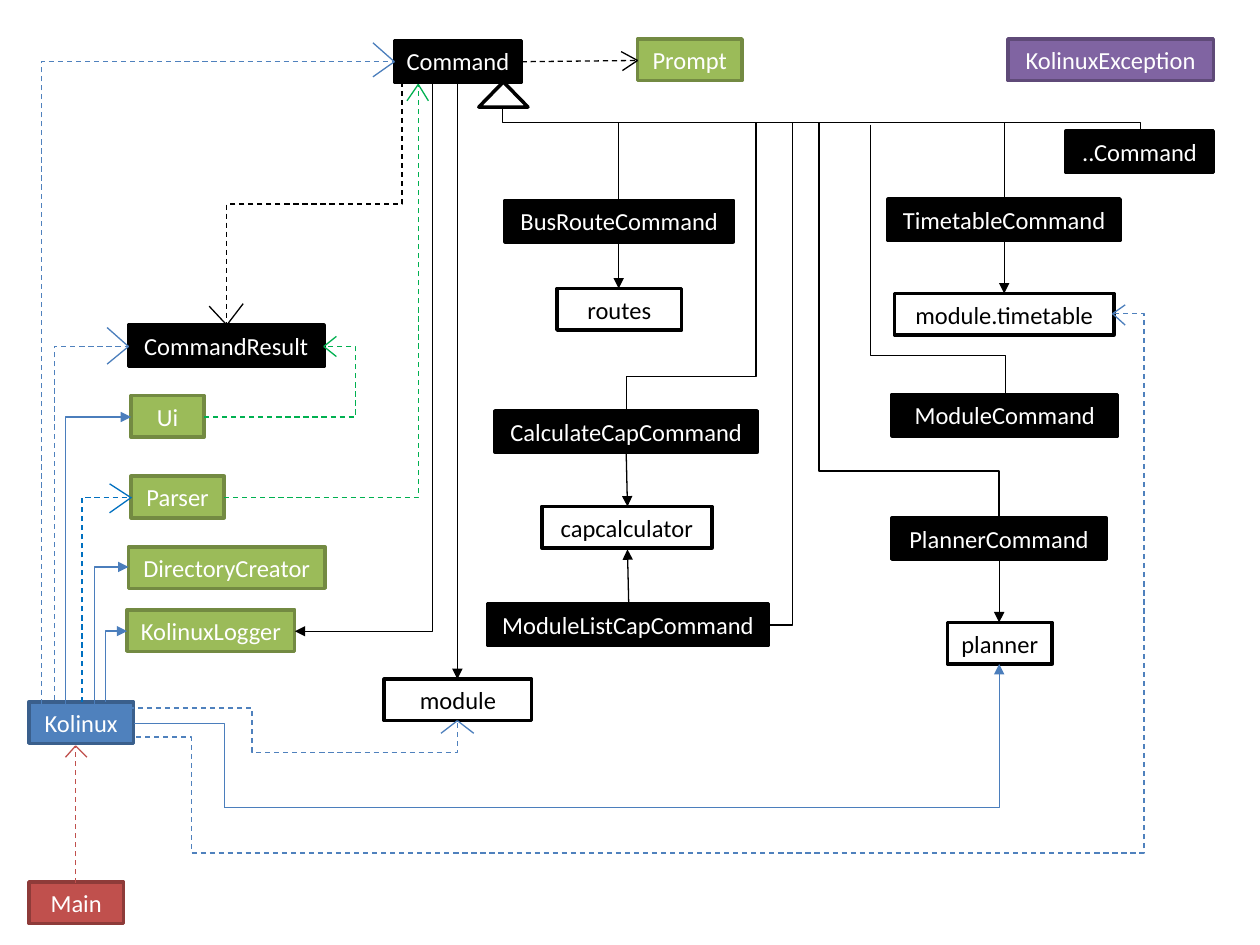
from lxml.etree import SubElement
from pptx import Presentation
from pptx.dml.color import RGBColor
from pptx.enum.dml import MSO_LINE
from pptx.enum.shapes import MSO_CONNECTOR as CONNECTOR, MSO_SHAPE as SHAPE
from pptx.enum.text import MSO_ANCHOR, PP_ALIGN
from pptx.oxml.ns import qn
from pptx.util import Inches, Pt

COLORS = {
    "black": "000000", "white": "FFFFFF", "red": "C0504D", "dark red": "8E3B39",
    "blue": "4F81BD", "dark blue": "3A5F8C", "arrow blue": "4B7EBC", "bright blue": "0070C0",
    "green": "9BBB59", "dark green": "738A42", "arrow green": "00B050",
    "purple": "8064A2", "dark purple": "5F4A78",
}
STYLES = {
    "main": ("red", "dark red", "white"),
    "app": ("blue", "dark blue", "white"),
    "helper": ("green", "dark green", "white"),
    "command": ("black", "black", "white"),
    "package": ("white", "black", "black"),
    "exception": ("purple", "dark purple", "white"),
}
BOX_HEIGHT = 0.33
BOXES = {
    "main": [("Main", 0.23, 7, 0.75)],
    "app": [("Kolinux", 0.23, 5.57, 0.83)],
    "helper": [
        ("Ui", 1.04, 3.14, 0.58), ("Parser", 1.04, 3.78, 0.74),
        ("DirectoryCreator", 1.02, 4.34, 1.56), ("KolinuxLogger", 1.01, 4.84, 1.33),
        ("Prompt", 5.06, 0.31, 0.83),
    ],
    "command": [
        ("Command", 3.13, 0.32, 1.01), ("CommandResult", 1.02, 2.58, 1.55),
        ("..Command", 8.46, 1.04, 1.17), ("BusRouteCommand", 4.01, 1.59, 1.81),
        ("CalculateCapCommand", 3.93, 3.26, 2.08), ("ModuleCommand", 7.08, 3.13, 1.79),
        ("PlannerCommand", 7.08, 4.11, 1.7), ("ModuleListCapCommand", 3.87, 4.79, 2.23),
        ("TimetableCommand", 7.05, 1.58, 1.84),
    ],
    "package": [
        ("planner", 7.52, 4.94, 0.83), ("module.timetable", 7.1, 2.33, 1.74),
        ("module", 3.05, 5.39, 1.17), ("capcalculator", 4.3, 4.02, 1.35),
        ("routes", 4.42, 2.29, 0.99),
    ],
    "exception": [("KolinuxException", 8, 0.31, 1.63)],
}
INHERITANCE_ROUTES = [
    [(3.99, 0.85), (3.99, 0.97), (9.05, 0.97), (9.05, 1.04)],
    [(4.91, 0.97), (4.91, 1.59)],
    [(6, 0.98), (6, 2.99), (4.97, 2.99), (4.97, 3.26)],
    [(6.29, 0.98), (6.29, 4.96), (6.1, 4.96)],
    [(6.5, 0.97), (6.5, 3.74), (7.93, 3.74), (7.93, 4.11)],
    [(6.91, 0.99), (6.91, 2.82), (7.98, 2.82), (7.98, 3.13)],
    [(7.97, 0.97), (7.97, 1.58)],
]
USE_ROUTES = [
    [(3.43, 0.64), (3.43, 5.01), (2.34, 5.01)],
    [(3.63, 0.65), (3.63, 5.39)],
    [(4.91, 1.92), (4.91, 2.29)],
    [(4.97, 3.59), (4.98, 4.02)],
    [(4.99, 4.79), (4.98, 4.36)],
    [(7.97, 1.91), (7.97, 2.33)],
    [(7.93, 4.45), (7.93, 4.94)],
]
APP_ROUTES = [
    [(0.52, 5.59), (0.52, 3.31), (1.04, 3.31)],
    [(0.75, 5.59), (0.75, 4.5), (1.02, 4.5)],
    [(0.84, 5.57), (0.84, 5.01), (1.01, 5.01)],
    [(1.78, 6.41), (7.93, 6.41), (7.93, 5.27)],
]
APP_TO_PLANNER = [(1.06, 5.74), (1.78, 5.74), (1.78, 6.41)]
APP_TO_TIMETABLE = [(1.08, 5.85), (1.52, 5.85), (1.52, 6.77)]
DEPENDENCIES = [
    ("red", "red", [(0.6, 7.01), (0.6, 5.92)], [(0.52, 6.01), (0.69, 6.01)]),
    ("bright blue", "bright blue", [(0.65, 5.57), (0.65, 3.95), (1.04, 3.95)],
     [(0.87, 3.84), (0.87, 4.07)]),
    ("blue", "arrow blue", [(0.33, 5.59), (0.33, 0.49), (3.13, 0.49)],
     [(2.96, 0.34), (2.96, 0.61)]),
    ("blue", "arrow blue", [(0.43, 5.56), (0.43, 2.75), (1.02, 2.75)],
     [(0.85, 2.6), (0.85, 2.89)]),
    ("blue", "arrow blue", [(0.95, 5.62), (2, 5.62), (2, 5.97), (3.63, 5.97), (3.63, 5.72)],
     [(3.5, 5.82), (3.76, 5.82)]),
    ("blue", "arrow blue", [(1.52, 6.77), (9.08, 6.77), (9.08, 2.49), (8.83, 2.49)],
     [(8.93, 2.42), (8.93, 2.58)]),
    ("arrow green", "arrow green", [(1.62, 3.31), (2.82, 3.31), (2.82, 2.75), (2.57, 2.75)],
     [(2.67, 2.67), (2.67, 2.83)]),
    ("arrow green", "arrow green", [(1.78, 3.95), (3.32, 3.95), (3.32, 0.67)],
     [(3.23, 0.8), (3.4, 0.8)]),
    ("black", "black", [(4.14, 0.49), (5.06, 0.48)], [(4.93, 0.41), (4.94, 0.56)]),
    ("black", "black", [(3.19, 0.65), (3.19, 1.62), (1.8, 1.62), (1.8, 2.58)],
     [(1.66, 2.43), (1.93, 2.41)]),
]


def color(name):
    return RGBColor.from_string(COLORS[name])


def add_block(slide, kind, left, top, width, height, fill, outline):
    shape = slide.shapes.add_shape(kind, *map(Inches, (left, top, width, height)))
    shape.shadow.inherit = False
    shape.fill.solid()
    shape.fill.fore_color.rgb = color(fill)
    shape.line.color.rgb = color(outline)
    shape.line.width = Pt(2)
    return shape


def add_box(slide, style, text, left, top, width):
    fill, outline, text_color = STYLES[style]
    shape = add_block(slide, SHAPE.RECTANGLE, left, top, width, BOX_HEIGHT, fill, outline)
    frame = shape.text_frame
    frame.word_wrap = False
    frame.vertical_anchor = MSO_ANCHOR.MIDDLE
    paragraph = frame.paragraphs[0]
    paragraph.text = text
    paragraph.alignment = PP_ALIGN.CENTER
    paragraph.font.name = "Calibri"
    paragraph.font.size = Pt(14)
    paragraph.font.color.rgb = color(text_color)


def add_route(slide, points, line_color, dashed=False, arrow=False):
    (x1, y1), (x2, y2) = points[0], points[-1]
    bends = len(points) - 2
    turned = bends > 0 and points[0][0] == points[1][0]
    middle_x, middle_y = (x1 + x2) / 2, (y1 + y2) / 2
    run, rise = (y2 - y1, x1 - x2) if turned else (x2 - x1, y2 - y1)
    ends = (middle_x - run / 2, middle_y - rise / 2, middle_x + run / 2, middle_y + rise / 2)
    kind = CONNECTOR.ELBOW if bends else CONNECTOR.STRAIGHT
    connector = slide.shapes.add_connector(kind, *map(Inches, ends))
    properties = connector._element.spPr
    if bends:
        connector.rotation = 90 if turned else 0
        geometry = properties.find(qn("a:prstGeom"))
        geometry.set("prst", f"bentConnector{bends + 1}")
        guides = geometry.find(qn("a:avLst"))
        if guides is None:
            guides = SubElement(geometry, qn("a:avLst"))
        for number in range(1, bends):
            axis = (number + turned + 1) % 2
            start, end = points[0][axis], points[-1][axis]
            share = (points[number + (number > 1)][axis] - start) / (end - start)
            SubElement(guides, qn("a:gd"), name=f"adj{number}", fmla=f"val {round(share * 100000)}")
    connector.line.color.rgb = color(line_color)
    connector.line.width = Pt(0.75)
    if dashed:
        connector.line.dash_style = MSO_LINE.DASH
    if arrow:
        SubElement(properties.find(qn("a:ln")), qn("a:tailEnd"), type="triangle")
    SubElement(properties, qn("a:effectLst"))


presentation = Presentation()
presentation.slide_width, presentation.slide_height = Inches(10), Inches(7.5)
slide = presentation.slides.add_slide(presentation.slide_layouts[6])

for style, boxes in BOXES.items():
    for box in boxes:
        add_box(slide, style, *box)
add_block(slide, SHAPE.ISOSCELES_TRIANGLE, 3.8, 0.65, 0.39, 0.2, "white", "black")

for points in INHERITANCE_ROUTES:
    add_route(slide, points, "black")
for line_color, routes in (("black", USE_ROUTES), ("arrow blue", APP_ROUTES)):
    for points in routes:
        add_route(slide, points, line_color, arrow=True)
add_route(slide, APP_TO_PLANNER, "arrow blue")
add_route(slide, APP_TO_TIMETABLE, "blue", dashed=True)
for line_color, head_color, points, wings in DEPENDENCIES:
    add_route(slide, points, line_color, dashed=True)
    for wing in wings:
        add_route(slide, [wing, points[-1]], head_color)

presentation.save("out.pptx")
